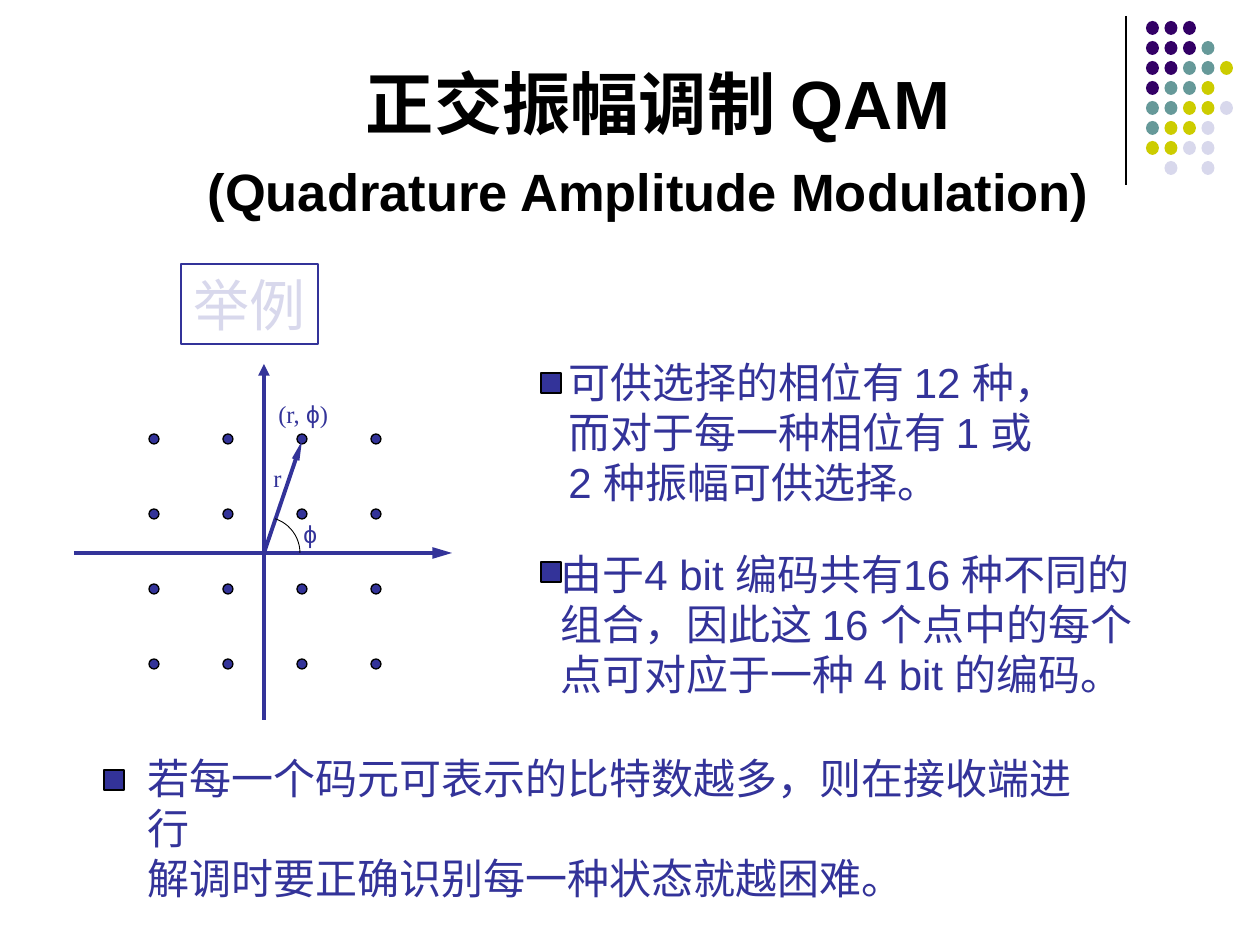
from dataclasses import dataclass
from math import cos, radians, sin

from lxml.etree import SubElement
from pptx import Presentation
from pptx.dml.color import RGBColor as RGB
from pptx.enum.shapes import MSO_CONNECTOR as CONN, MSO_SHAPE as SHAPE
from pptx.enum.text import MSO_ANCHOR as ANCHOR, MSO_AUTO_SIZE as AUTO, PP_ALIGN as ALIGN
from pptx.oxml.ns import qn
from pptx.util import Emu, Pt

PX = 914400 / 126


@dataclass(frozen=True)
class Theme:
    black: str = "000000"
    ink: str = "333399"
    purple: str = "330066"
    teal: str = "669999"
    lime: str = "CCCC00"
    pale: str = "D8D8EC"
    sans: str = "Arial"
    serif: str = "Times New Roman"
    cjk: str = "Noto Sans CJK SC"
    body_cjk: str = "Cabin"
    title: int = 39
    subtitle: int = 30
    tag: int = 32
    body: int = 24
    label: int = 14


T = Theme()


def px(v):
    return Emu(round(v * PX))


def box_px(*box):
    return [px(v) for v in box]


def style_run(r, size, color, latin=T.sans, asian=T.body_cjk, bold=False):
    f = r.font
    f.size, f.bold, f.name = Pt(size), bold, latin
    f.color.rgb = RGB.from_string(color)
    ea = SubElement(r._r.get_or_add_rPr(), qn("a:ea"))
    ea.set("typeface", asian)


def add_shape(slide, kind, box, fill=None, line=None):
    sp = slide.shapes.add_shape(kind, *box_px(*box))
    sp.shadow.inherit = False
    if fill:
        sp.fill.solid()
        sp.fill.fore_color.rgb = RGB.from_string(fill)
    else:
        sp.fill.background()
    if line:
        sp.line.color.rgb = RGB.from_string(line)
        sp.line.width = Pt(0.75)
    else:
        sp.line.fill.background()
    return sp


def add_line(slide, start, end, color, width, arrow=None):
    """Straight line; arrow is (width, length) of a triangle at its end."""
    ln = slide.shapes.add_connector(CONN.STRAIGHT, *box_px(*start, *end))
    ln.line.color.rgb = RGB.from_string(color)
    ln.line.width = Pt(width)
    if arrow:
        tail = SubElement(ln.line._get_or_add_ln(), qn("a:tailEnd"))
        tail.set("type", "triangle")
        tail.set("w", arrow[0])
        tail.set("len", arrow[1])
    SubElement(ln._element.spPr, qn("a:effectLst"))


def add_text(slide, box, lines, size, latin=T.sans):
    """Unwrapped text box, one paragraph for each line."""
    tf = slide.shapes.add_textbox(*box_px(*box)).text_frame
    tf.word_wrap = False
    tf.text = "\n".join(lines)
    for p in tf.paragraphs:
        for r in p.runs:
            style_run(r, size, T.ink, latin)
    return tf


def corner_dots(slide, x, y, w, h):
    """Rule and coloured dot pattern in the top right corner."""
    add_line(slide, (x - 20, y - 5), (x - 20, y + h + 10), T.black, 0.75)
    colors = {"P": T.purple, "T": T.teal, "L": T.lime, "W": T.pale}
    rows = ["PPP", "PPPT", "PPTTL", "PTTL", "TTLLW", "TLLW", "LLWW", " W W"]
    dot_w, dot_h = 13, 14
    step_x, step_y = (w - dot_w) / 4, (h - dot_h) / (len(rows) - 1)
    for i, row in enumerate(rows):
        for j, key in enumerate(row):
            if key in colors:
                add_shape(slide, SHAPE.OVAL,
                          (x + j * step_x, y + i * step_y, dot_w, dot_h), colors[key])


def title(slide, x, y, w, h):
    sp = slide.shapes.title
    sp.left, sp.top, sp.width, sp.height = box_px(x, y, w, h)
    tf = sp.text_frame
    tf.word_wrap, tf.auto_size, tf.vertical_anchor = True, AUTO.NONE, ANCHOR.BOTTOM
    p = tf.paragraphs[0]
    p.text = "正交振幅调制 QAM\v(Quadrature Amplitude Modulation)"
    p.alignment = ALIGN.CENTER
    p.add_run().text = " "
    for r, size in zip(p.runs, (T.title, T.subtitle, T.title)):
        style_run(r, size, T.black, asian=T.cjk, bold=True)


def example_tag(slide, x, y, w, h):
    sp = add_shape(slide, SHAPE.RECTANGLE, (x, y, w, h), line=T.ink)
    tf = sp.text_frame
    tf.word_wrap, tf.vertical_anchor = False, ANCHOR.TOP
    p = tf.paragraphs[0]
    p.text = "举例"
    p.alignment = ALIGN.LEFT
    style_run(p.runs[0], T.tag, T.pale, T.body_cjk)


def constellation(slide, x, y, w, h):
    """Axes, 4 by 4 signal points and the polar vector."""
    ox, oy = x + 190, y + 189
    add_line(slide, (ox, y + h), (ox, y), T.ink, 2.25, ("med", "med"))

    # Signal points
    d, step_x, step_y = 10, 74, 75
    for i in range(4):
        for j in range(4):
            add_shape(slide, SHAPE.OVAL,
                      (x + 75 + j * step_x, y + 70 + i * step_y, d, d), T.ink, T.black)

    add_line(slide, (x, oy), (x + w, oy), T.ink, 2.25, ("med", "lg"))
    add_line(slide, (ox, oy), (ox + 38, oy - 112), T.ink, 2.25, ("sm", "lg"))

    # Angle arc
    radius = 36
    points = [(px(ox + radius * cos(radians(a))), px(oy - radius * sin(radians(a))))
              for a in range(0, 73, 6)]
    fb = slide.shapes.build_freeform(*points[0])
    fb.add_line_segments(points[1:], close=False)
    arc = fb.convert_to_shape()
    arc.shadow.inherit = False
    arc.fill.background()
    arc.line.color.rgb = RGB.from_string(T.black)
    arc.line.width = Pt(0.5)

    # Labels
    add_text(slide, (x + 187, y + 93, 33, 43), ["r"], T.label, T.serif)
    add_text(slide, (x + 217, y + 149, 40, 43), ["ϕ"], T.label)
    tf = add_text(slide, (x + 192, y + 29, 77, 43), ["(r, "], T.label, T.serif)
    for text, font in (("ϕ", T.sans), (")", T.serif)):
        r = tf.paragraphs[0].add_run()
        r.text = text
        style_run(r, T.label, T.ink, font)


def bullet_text(slide, x, y, w, h, lines, marker, latin=T.sans):
    """Text block with a square marker at an offset from its corner."""
    add_shape(slide, SHAPE.RECTANGLE, (x + marker[0], y + marker[1], 20, 20), T.ink, T.black)
    add_text(slide, (x, y, w, h), lines, T.body, latin)


def main():
    prs = Presentation()
    prs.slide_width, prs.slide_height = px(1260), px(945)
    slide = prs.slides.add_slide(prs.slide_layouts[5])

    corner_dots(slide, 1146, 21, 87, 154)
    title(slide, 84, 29, 1148, 202)
    constellation(slide, 74, 364, 378, 356)
    bullet_text(slide, 556, 350, 533, 164,
                ["可供选择的相位有 12 种，", "而对于每一种相位有 1 或", "2 种振幅可供选择。"],
                (-15, 23))
    bullet_text(slide, 548, 542, 635, 164,
                ["由于4 bit 编码共有16 种不同的", "组合，因此这 16 个点中的每个",
                 "点可对应于一种 4 bit 的编码。"],
                (-7, 20))
    bullet_text(slide, 135, 746, 990, 113,
                ["若每一个码元可表示的比特数越多，则在接收端进行",
                 "解调时要正确识别每一种状态就越困难。"],
                (-31, 24), T.cjk)
    example_tag(slide, 181, 264, 137, 80)

    prs.save("out.pptx")


if __name__ == "__main__":
    main()
